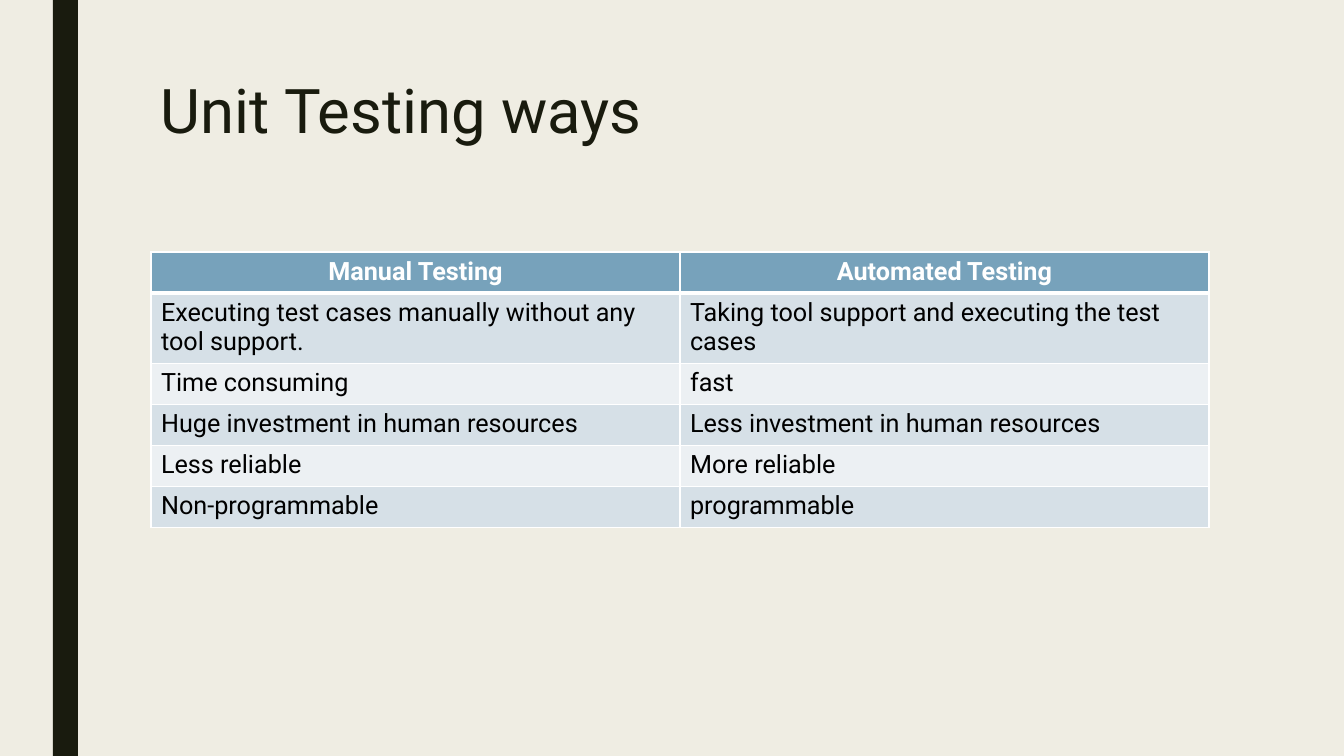
import pptx
import pptx.dml.color
import pptx.enum.shapes
import pptx.enum.text
import pptx.oxml
import pptx.oxml.ns
import pptx.util

# Content
TITLE = "Unit Testing ways"
COMPARISON = [
    ("Manual Testing", "Automated Testing"),
    ("Executing test cases manually without any tool support.",
     "Taking tool support and executing the test cases"),
    ("Time consuming", "fast"),
    ("Huge investment in human resources", "Less investment in human resources"),
    ("Less reliable", "More reliable"),
    ("Non-programmable", "programmable"),
]

# Style and layout, lengths in px
FONT = "Roboto"
PAPER, INK, WHITE, BLACK = "EFEDE3", "191B0E", "FFFFFF", "000000"
HEADER_FILL, BAND_FILLS = "77A2BB", ("ECF0F3", "D6E0E7")
SLIDE_W, SLIDE_H = 1344, 756
LEFT, WIDTH = 151, 1058
ROW_H, TWO_LINE_ROW_H = 41, 69


def px(length):
    return pptx.util.Emu(round(length * 914400 / 100.8))


def color(hex_string):
    return pptx.dml.color.RGBColor.from_string(hex_string)


def paint(fill, hex_string):
    fill.solid()
    fill.fore_color.rgb = color(hex_string)


def write(paragraph, text, size, hex_string, bold=False):
    run = paragraph.add_run()
    run.text = text
    run.font.name = FONT
    run.font.size = pptx.util.Pt(size)
    run.font.bold = bold
    run.font.color.rgb = color(hex_string)


def add_borders(cell, bottom_pt):
    properties = cell._tc.get_or_add_tcPr()
    widths = {"lnL": 1, "lnR": 1, "lnT": 1, "lnB": bottom_pt}
    for position, (side, points) in enumerate(widths.items()):
        border = pptx.oxml.parse_xml(
            f'<a:{side} {pptx.oxml.ns.nsdecls("a")} w="{pptx.util.Pt(points)}">'
            f'<a:solidFill><a:srgbClr val="{WHITE}"/></a:solidFill></a:{side}>')
        properties.insert(position, border)


# Slide and background
deck = pptx.Presentation()
deck.slide_width, deck.slide_height = px(SLIDE_W), px(SLIDE_H)
slide = deck.slides.add_slide(deck.slide_layouts[6])
paint(slide.background.fill, PAPER)

# Side bar
side_bar = slide.shapes.add_shape(
    pptx.enum.shapes.MSO_SHAPE.RECTANGLE, px(53), 0, px(25), px(SLIDE_H))
side_bar.shadow.inherit = False
paint(side_bar.fill, INK)
side_bar.line.fill.background()

# Title
title = slide.shapes.add_textbox(px(LEFT), px(76), px(WIDTH), px(163)).text_frame
title.word_wrap = True
title.vertical_anchor = pptx.enum.text.MSO_ANCHOR.TOP
title.paragraphs[0].line_spacing = 0.89
write(title.paragraphs[0], TITLE, 44, INK)

# Comparison table
comparison = slide.shapes.add_table(
    len(COMPARISON), 2, px(LEFT), px(252), px(WIDTH),
    px(ROW_H * (len(COMPARISON) - 1) + TWO_LINE_ROW_H)).table
for row_index, row in enumerate(COMPARISON):
    is_header = row_index == 0
    comparison.rows[row_index].height = px(TWO_LINE_ROW_H if row_index == 1 else ROW_H)
    for column_index, text in enumerate(row):
        cell = comparison.cell(row_index, column_index)
        paint(cell.fill, HEADER_FILL if is_header else BAND_FILLS[row_index % 2])
        add_borders(cell, 3 if is_header else 1)
        paragraph = cell.text_frame.paragraphs[0]
        if is_header:
            paragraph.alignment = pptx.enum.text.PP_ALIGN.CENTER
        write(paragraph, text, 18, WHITE if is_header else BLACK, is_header)

deck.save("out.pptx")
